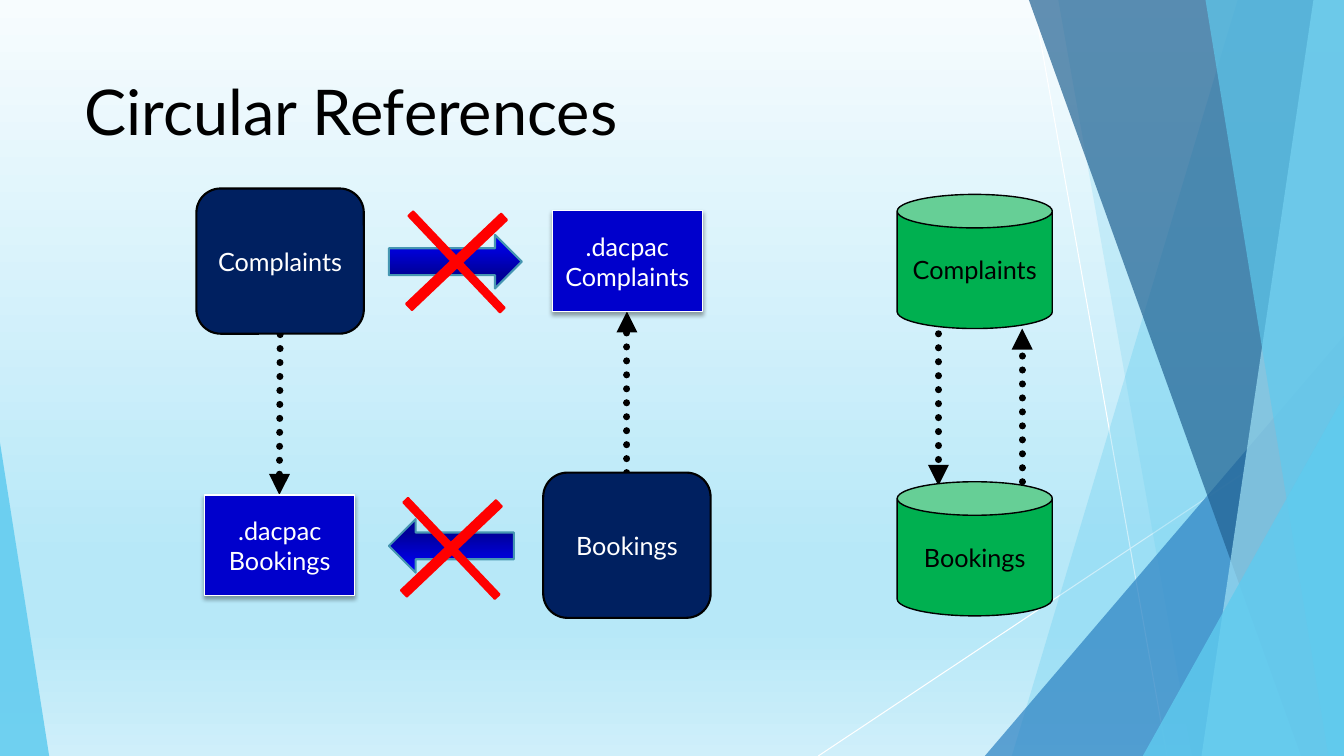
"""Build the slide on circular references between database projects."""
from copy import deepcopy

from lxml.etree import SubElement
from pptx import Presentation
from pptx.dml.color import RGBColor
from pptx.enum.dml import MSO_LINE
from pptx.enum.shapes import MSO_CONNECTOR, MSO_SHAPE
from pptx.enum.text import MSO_ANCHOR, MSO_AUTO_SIZE, PP_ALIGN
from pptx.oxml.ns import qn
from pptx.util import Cm, Pt

STRAIGHT = MSO_CONNECTOR.STRAIGHT
DOTS = MSO_LINE.ROUND_DOT
CAN, RECT, ROUND = MSO_SHAPE.CAN, MSO_SHAPE.RECTANGLE, MSO_SHAPE.ROUNDED_RECTANGLE
ARROW, CROSS, WEDGE = MSO_SHAPE.RIGHT_ARROW, MSO_SHAPE.CROSS, MSO_SHAPE.ISOSCELES_TRIANGLE
TOP, MIDDLE = MSO_ANCHOR.TOP, MSO_ANCHOR.MIDDLE
LEFT, CENTER = PP_ALIGN.LEFT, PP_ALIGN.CENTER
FIXED = MSO_AUTO_SIZE.NONE

BLACK = RGBColor(0x00, 0x00, 0x00)
WHITE = RGBColor(0xFF, 0xFF, 0xFF)
RED = RGBColor(0xFF, 0x00, 0x00)
GREEN = RGBColor(0x00, 0xB0, 0x50)
NAVY = RGBColor(0x00, 0x20, 0x60)
BLUE = RGBColor(0x00, 0x00, 0xCC)
BRIGHT = RGBColor(0x00, 0x00, 0xFF)
DEEP = RGBColor(0x00, 0x00, 0x99)
TEAL = RGBColor(0x46, 0x96, 0xB1)
SKY = RGBColor(0x5F, 0xCB, 0xEF)
PALE = RGBColor(0x9F, 0xE0, 0xF5)
STEEL = RGBColor(0x22, 0x62, 0x92)
AZURE = RGBColor(0x2E, 0x83, 0xC3)
MIST = RGBColor(0xF7, 0xFC, 0xFE)
ICE = RGBColor(0xB7, 0xE8, 0xF8)
FROST = RGBColor(0xCF, 0xEF, 0xFA)

WIDE, HIGH = 33.87, 19.05


def grade(fill, root, stops):
    fill.gradient()
    fill.gradient_angle = 270
    marks = next(root.iter(qn("a:gsLst")))
    while len(marks) < len(stops):
        marks.append(deepcopy(marks[0]))
    for mark, (place, tint) in zip(fill.gradient_stops, stops):
        mark.position = place
        mark.color.rgb = tint


def draw(kind, box, fill, edge, width):
    shape = slide.shapes.add_shape(kind, *map(Cm, box))
    shape.shadow.inherit = False
    shape.line.color.rgb = edge
    shape.line.width = Pt(width)
    shape.fill.solid()
    shape.fill.fore_color.rgb = fill
    return shape


deck = Presentation()
deck.slide_width, deck.slide_height = Cm(WIDE), Cm(HIGH)
slide = deck.slides.add_slide(deck.slide_layouts[5])
shapes = slide.shapes
grade(slide.background.fill, slide.element,
      [(0, MIST), (0.74, ICE), (0.83, ICE), (1, FROST)])

RAYS = [(26.04, 0, 29.41, HIGH), (WIDE, 10.24, 20.62, HIGH)]
LINKS = [
    (23.65, 8.41, 23.65, 12.24),
    (25.76, 12.14, 25.76, 8.28),
    (7.06, 8.43, 7.04, 12.47),
    (15.8, 11.91, 15.8, 7.85),
]

for ray in RAYS:
    line = shapes.add_connector(STRAIGHT, *map(Cm, ray))
    line.line.color.rgb = WHITE
    line.line.width = Pt(0.75)
    SubElement(line.element.spPr, qn("a:effectLst"))

# Bands hold top and foot; wedges hold left, top, width and tip.
FACETS = [
    (SKY, 30, (31.19, 25.5)),
    (SKY, 20, (26.67, 30.05)),
    (AZURE, 72, (24.82, 8.46, 9.05, 1)),
    (STEEL, 70, (25.93, 32.79)),
    (PALE, 70, (33.1, 30.28)),
    (SKY, 65, (30.38, 33.48)),
    (SKY, 80, (28.8, 9.98, 5.07, 1)),
    (SKY, 85, (0, 11.15, 1.24, 0)),
]
for tint, alpha, form in FACETS:
    if len(form) == 2:
        top, foot = form
        pen = shapes.build_freeform(Cm(top), Cm(0))
        pen.add_line_segments([(Cm(WIDE), Cm(0)), (Cm(WIDE), Cm(HIGH)), (Cm(foot), Cm(HIGH))])
        facet = pen.convert_to_shape()
    else:
        left, top, width, tip = form
        facet = shapes.add_shape(WEDGE, Cm(left), Cm(top), Cm(width), Cm(HIGH - top))
        facet.adjustments[0] = tip
    facet.shadow.inherit = False
    facet.line.fill.background()
    facet.fill.solid()
    facet.fill.fore_color.rgb = tint
    color = next(facet.element.spPr.iter(qn("a:srgbClr")))
    SubElement(color, qn("a:alpha"), val=str(alpha * 1000))

title = shapes.title
title.left, title.top, title.width, title.height = map(Cm, (1.88, 1.7, 23.88, 3.66))
title.text = "Circular References"
shapes.element.append(title.element)
TEXTS = [(title, 45, BLACK, TOP, LEFT)]

for link in LINKS:
    line = shapes.add_connector(STRAIGHT, *map(Cm, link))
    line.line.color.rgb = BLACK
    line.line.width = Pt(5)
    line.line.dash_style = DOTS
    stroke = line.line._get_or_add_ln()
    stroke.set("cap", "rnd")
    SubElement(stroke, qn("a:tailEnd"), type="triangle")
    SubElement(line.element.spPr, qn("a:effectLst"))

STYLES = {
    CAN: (3.91, 3.38, GREEN, BLACK, 1, BLACK),
    RECT: (3.78, 2.54, BLUE, WHITE, 1, WHITE),
    ROUND: (4.22, 3.66, NAVY, BLACK, 1.5, WHITE),
}
NODES = [
    (CAN, 22.61, 4.9, "Complaints"),
    (CAN, 22.61, 12.14, "Bookings"),
    (RECT, 13.92, 5.31, ".dacpac Complaints"),
    (RECT, 5.16, 12.47, ".dacpac Bookings"),
    (ROUND, 4.95, 4.75, "Complaints"),
    (ROUND, 13.69, 11.91, "Bookings"),
]
for kind, left, top, text in NODES:
    width, height, fill, edge, weight, ink = STYLES[kind]
    node = draw(kind, (left, top, width, height), fill, edge, weight)
    node.text_frame.text = text
    TEXTS.append((node, 18, ink, MIDDLE, CENTER))
    if kind == RECT:
        shade = SubElement(node.element.spPr.find(qn("a:effectLst")), qn("a:outerShdw"),
                           blurRad=str(Pt(3)), dist=str(Pt(2)), dir="5400000", rotWithShape="0")
        color = SubElement(shade, qn("a:srgbClr"), val=str(BLACK))
        SubElement(color, qn("a:alpha"), val="35000")

for shape, size, ink, anchor, align in TEXTS:
    frame = shape.text_frame
    layout = {"word_wrap": True, "auto_size": FIXED, "vertical_anchor": anchor}
    for key, value in layout.items():
        setattr(frame, key, value)
    para = frame.paragraphs[0]
    para.alignment = align
    font = para.runs[0].font
    for key, value in {"name": "Lato", "size": Pt(size)}.items():
        setattr(font, key, value)
    font.color.rgb = ink

for top, width, turn in [(5.92, 3.35, 0), (13.08, 3.15, 180)]:
    arrow = draw(ARROW, (9.8, top, width, 1.35), BLUE, TEAL, 1.5)
    arrow.rotation = turn
    grade(arrow.fill, arrow.element, [(0, BRIGHT), (0.74, DEEP)])

for left, top in [(9.83, 4.95), (9.7, 12.17)]:
    cross = draw(CROSS, (left, top, 3.35, 3.3), RED, RED, 1.5)
    cross.rotation = 46.5
    cross.adjustments[0] = 0.475

deck.save("out.pptx")
